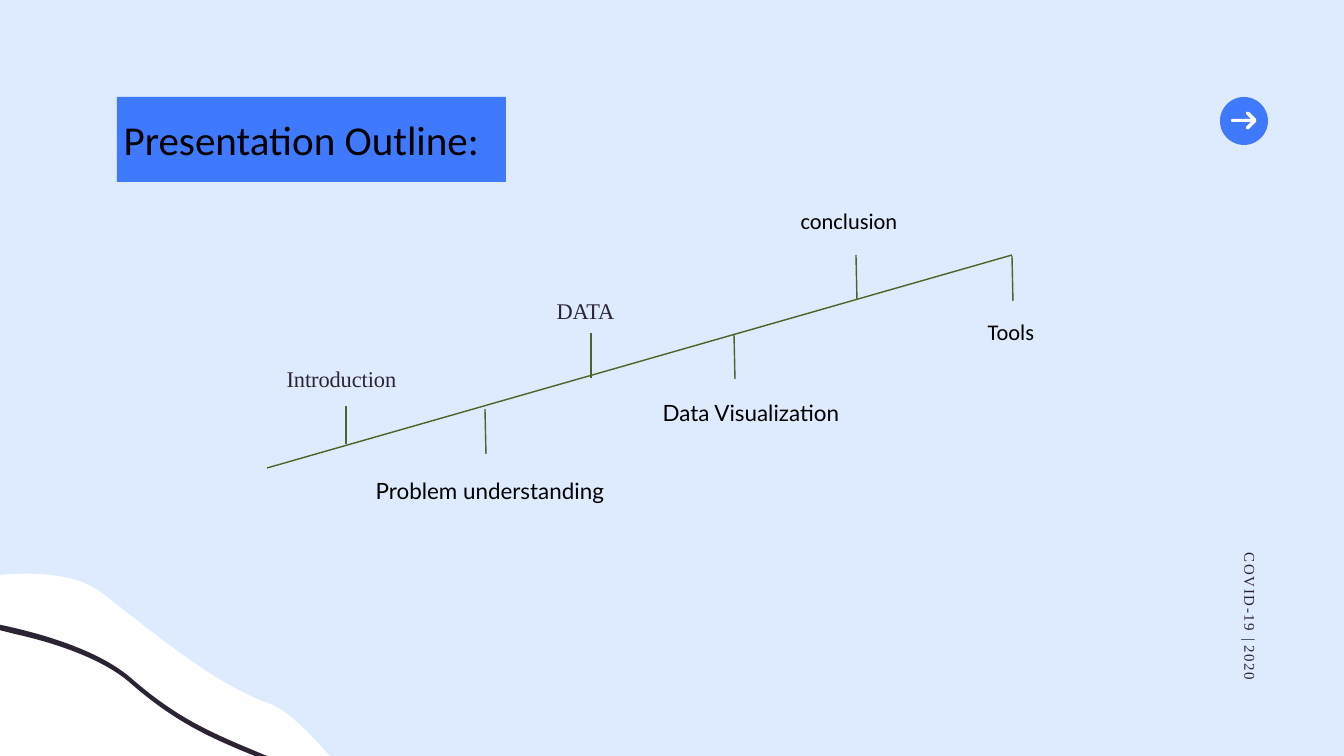
from dataclasses import dataclass

import pptx
import pptx.dml.color
import pptx.enum.shapes
import pptx.enum.text
import pptx.oxml
import pptx.oxml.ns
import pptx.util

SCALE = 914400 / 67.2
SKY, BLUE, WHITE = "DEEBFE", "3F7AFE", "FEFEFE"
INK, GREEN, BLACK = "2D2433", "4F6228", "000000"
SERIF = "Times New Roman"

Point = tuple[int, int]
Box = tuple[int, int, int, int]
Segment = tuple[Point, ...]


@dataclass
class TextStyle:
    font: str
    size: int
    color: str
    spacing: float = 0


@dataclass
class Milestone:
    label: str
    box: Box
    style: TextStyle
    tick_start: Point
    tick_end: Point


def emu(pixels: float) -> int:
    return round(pixels * SCALE)


def rgb(color: str) -> pptx.dml.color.RGBColor:
    return pptx.dml.color.RGBColor.from_string(color)


def paint(shape, color: str) -> None:
    shape.fill.solid()
    shape.fill.fore_color.rgb = rgb(color)
    shape.line.fill.background()
    shape.shadow.inherit = False


def add_preset(slide, kind, box: Box, color: str):
    shape = slide.shapes.add_shape(kind, *map(emu, box))
    paint(shape, color)
    return shape


def add_outline(slide, start: Point, segments: list[Segment], color: str) -> None:
    builder = slide.shapes.build_freeform(*map(emu, start), scale=1.0)
    builder.add_line_segments([tuple(map(emu, segment[-1])) for segment in segments])
    shape = builder.convert_to_shape()
    paint(shape, color)
    lines = shape._element.findall(".//" + pptx.oxml.ns.qn("a:lnTo"))
    for line, segment in zip(lines, segments):
        if len(segment) == 3:
            points = "".join(f'<a:pt x="{emu(x) - shape.left}" y="{emu(y) - shape.top}"/>'
                             for x, y in segment)
            line.getparent().replace(line, pptx.oxml.parse_xml(
                f"<a:cubicBezTo {pptx.oxml.ns.nsdecls('a')}>{points}</a:cubicBezTo>"))


def add_line(slide, start: Point, end: Point) -> None:
    connector = slide.shapes.add_connector(
        pptx.enum.shapes.MSO_CONNECTOR.STRAIGHT, *map(emu, (*start, *end)))
    connector.line.color.rgb = rgb(GREEN)
    connector.line.width = pptx.util.Pt(1.5)
    connector._element.spPr.append(
        pptx.oxml.parse_xml(f"<a:effectLst {pptx.oxml.ns.nsdecls('a')}/>"))


def format_run(run, style: TextStyle) -> None:
    run.font.name = style.font
    run.font.size = pptx.util.Pt(style.size)
    run.font.color.rgb = rgb(style.color)
    if style.spacing:
        run._r.get_or_add_rPr().set("spc", str(round(style.spacing * 100)))


def add_textbox(slide, box: Box):
    shape = slide.shapes.add_textbox(*map(emu, box))
    shape.text_frame.word_wrap = True
    shape.text_frame.auto_size = pptx.enum.text.MSO_AUTO_SIZE.SHAPE_TO_FIT_TEXT
    return shape


def add_banner(slide) -> None:
    banner = add_preset(slide, pptx.enum.shapes.MSO_SHAPE.RECTANGLE, (117, 97, 389, 85), BLUE)
    banner.text_frame.text = "Presentation Outline:"
    banner.text_frame.vertical_anchor = pptx.enum.text.MSO_ANCHOR.MIDDLE
    paragraph = banner.text_frame.paragraphs[0]
    paragraph.alignment = pptx.enum.text.PP_ALIGN.LEFT
    format_run(paragraph.runs[0], TextStyle("Calibri", 44, BLACK))


def add_arrow_button(slide) -> None:
    add_preset(slide, pptx.enum.shapes.MSO_SHAPE.OVAL, (1220, 97, 48, 48), BLUE)
    upper = [(1231, 120), (1232, 119), (1251, 119), (1246, 114), (1246, 112),
             (1249, 112), (1256, 119)]
    lower = [(x, 241 - y) for x, y in reversed(upper)]
    add_outline(slide, upper[0], [(point,) for point in upper[1:] + lower], WHITE)


def add_waves(slide) -> None:
    add_outline(slide, (-106, 596), [
        ((-106, 596), (44, 548), (102, 593)),
        ((160, 638), (218, 686), (268, 703)),
        ((317, 720), (408, 862), (408, 862)),
        ((408, 862), (228, 968), (119, 890)),
        ((10, 811), (-79, 721), (-106, 596)),
    ], WHITE)
    add_outline(slide, (-56, 620), [
        ((-55, 616),),
        ((-50, 616), (75, 630), (131, 678)),
        ((179, 720), (214, 734), (272, 758)),
        ((280, 761), (288, 765), (297, 769)),
        ((370, 799), (419, 872), (419, 873)),
        ((415, 876),),
        ((415, 875), (367, 803), (295, 773)),
        ((286, 769), (278, 765), (270, 762)),
        ((212, 739), (177, 724), (128, 681)),
        ((99, 657), (51, 642), (15, 634)),
        ((-8, 628), (-32, 623), (-56, 620)),
    ], INK)


def add_side_caption(slide) -> None:
    caption = add_textbox(slide, (1185, 600, 128, 34))
    caption.rotation = 90
    frame = caption.text_frame
    frame.margin_left = frame.margin_right = frame.margin_top = frame.margin_bottom = 0
    paragraph = frame.paragraphs[0]
    paragraph.line_spacing = 1.37
    for text, spacing in (("COVID-19 ", 1.7), ("| ", 0.4), ("2020", 1.5)):
        run = paragraph.add_run()
        run.text = text
        format_run(run, TextStyle(SERIF, 16, INK, spacing))


def add_milestone(slide, milestone: Milestone) -> None:
    add_line(slide, milestone.tick_start, milestone.tick_end)
    frame = add_textbox(slide, milestone.box).text_frame
    frame.text = milestone.label
    format_run(frame.paragraphs[0].runs[0], milestone.style)


SERIF_LABEL = TextStyle(SERIF, 24, INK, -0.1)
LATO_LABEL = TextStyle("Lato", 24, BLACK)
CALIBRI_LABEL = TextStyle("Calibri", 24, BLACK)

MILESTONES = [
    Milestone("Introduction", (280, 362, 143, 34), SERIF_LABEL, (346, 444), (346, 406)),
    Milestone("Problem understanding", (369, 474, 253, 54), LATO_LABEL, (485, 409), (486, 454)),
    Milestone("DATA", (550, 294, 122, 54), SERIF_LABEL, (591, 333), (591, 378)),
    Milestone("Data Visualization", (656, 396, 238, 54), LATO_LABEL, (734, 334), (735, 379)),
    Milestone("conclusion", (794, 204, 124, 34), CALIBRI_LABEL, (856, 255), (857, 300)),
    Milestone("Tools", (981, 315, 63, 34), CALIBRI_LABEL, (1012, 256), (1013, 301)),
]

presentation = pptx.Presentation()
presentation.slide_width = emu(1344)
presentation.slide_height = emu(756)
slide = presentation.slides.add_slide(presentation.slide_layouts[6])

add_preset(slide, pptx.enum.shapes.MSO_SHAPE.RECTANGLE, (0, 0, 1344, 756), SKY)
add_banner(slide)
add_arrow_button(slide)
add_waves(slide)
add_side_caption(slide)
add_line(slide, (1012, 255), (267, 468))
for milestone in MILESTONES:
    add_milestone(slide, milestone)

presentation.save("out.pptx")
